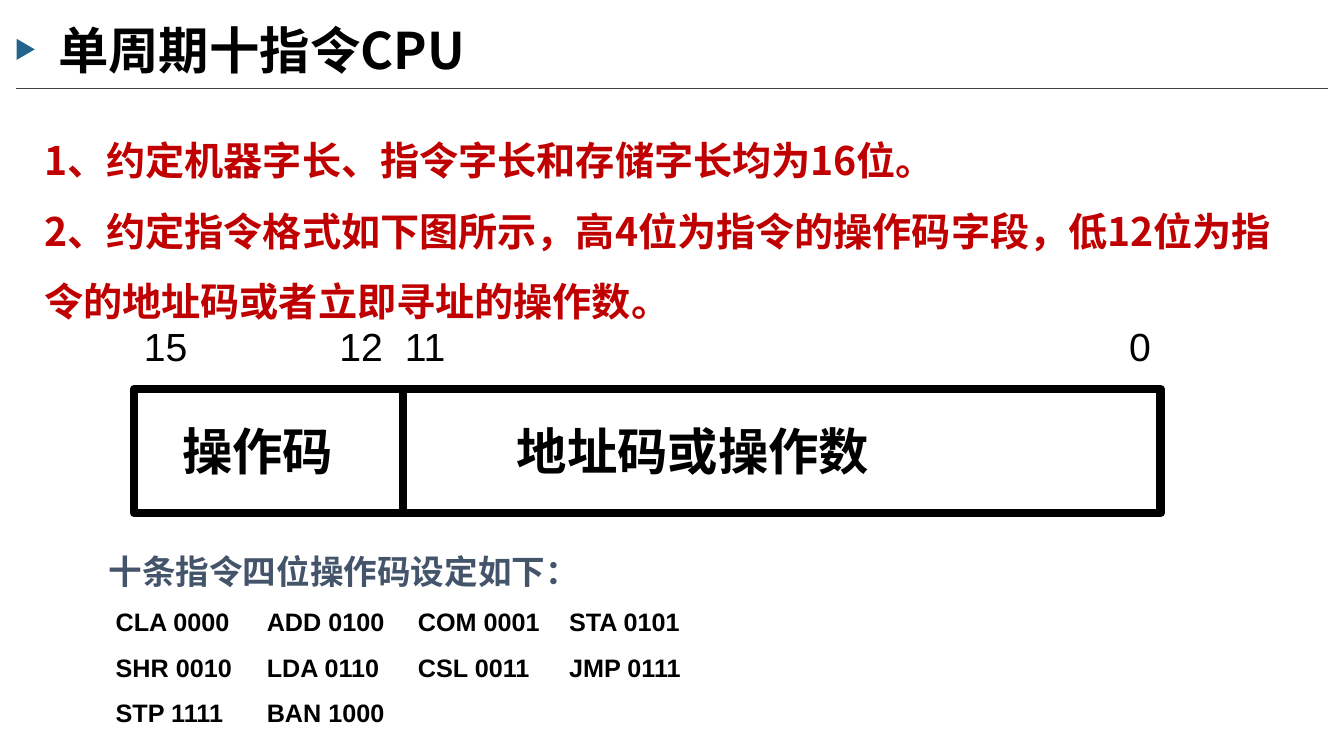
import pptx
import pptx.dml.color
import pptx.enum.shapes
import pptx.enum.text
import pptx.oxml.ns
import pptx.util
from lxml import etree
from pptx.util import Inches

COLORS = {
    "black": "000000",
    "white": "FFFFFF",
    "rule": "404040",
    "marker": "22648E",
    "rules_text": "C00000",
    "heading": "44546A",
}
CJK_FONT = "Noto Sans CJK SC"
LATIN_FONT = "Arial"


def add_child(parent, tag, **attributes):
    return etree.SubElement(parent, pptx.oxml.ns.qn(tag), attributes)


def rgb(name):
    return pptx.dml.color.RGBColor.from_string(COLORS[name])


def write_text(para, text, size, color="black", font=LATIN_FONT, bold=False,
               spacing=None, indent=0, tabs=()):
    if spacing:
        para.line_spacing = spacing
    properties = para._p.get_or_add_pPr()
    if indent:
        properties.set("marL", str(Inches(indent)))
        properties.set("indent", "0")
    if tabs:
        stops = add_child(properties, "a:tabLst")
        for stop in tabs:
            add_child(stops, "a:tab", pos=str(Inches(stop)), algn="l")
    span = para.add_run()
    span.text = text
    span.font.size = pptx.util.Pt(size)
    span.font.bold = bold
    span.font.name = font
    span.font.color.rgb = rgb(color)
    add_child(span._r.get_or_add_rPr(), "a:ea", typeface=CJK_FONT)


class SlideBuilder:
    def __init__(self, width, height):
        self.deck = pptx.Presentation()
        self.deck.slide_width = Inches(width)
        self.deck.slide_height = Inches(height)
        self.page = self.deck.slides.add_slide(self.deck.slide_layouts[6])

    def text(self, left, top, width, height, lines, **style):
        box = self.page.shapes.add_textbox(
            Inches(left), Inches(top), Inches(width), Inches(height))
        frame = box.text_frame
        frame.word_wrap = True
        for index, (line, changes) in enumerate(lines):
            para = frame.add_paragraph() if index else frame.paragraphs[0]
            write_text(para, line, **{**style, **changes})

    def shape(self, kind, left, top, width, height, fill, line=None, weight=1,
              rotation=0):
        shape = self.page.shapes.add_shape(
            kind, Inches(left), Inches(top), Inches(width), Inches(height))
        shape.shadow.inherit = False
        shape.rotation = rotation
        shape.fill.solid()
        shape.fill.fore_color.rgb = rgb(fill)
        if line:
            shape.line.color.rgb = rgb(line)
            shape.line.width = pptx.util.Pt(weight)
        else:
            shape.line.fill.background()

    def line(self, x1, y1, x2, y2, color, weight):
        connector = self.page.shapes.add_connector(
            pptx.enum.shapes.MSO_CONNECTOR.STRAIGHT,
            Inches(x1), Inches(y1), Inches(x2), Inches(y2))
        connector.line.color.rgb = rgb(color)
        connector.line.width = pptx.util.Pt(weight)
        add_child(connector._element.spPr, "a:effectLst")

    def save(self):
        self.deck.save("out.pptx")


def main():
    slide = SlideBuilder(13.34, 7.5)
    shapes = pptx.enum.shapes.MSO_SHAPE

    slide.line(0.16, 0.88, 13.18, 0.88, "rule", 1)
    slide.shape(shapes.ISOSCELES_TRIANGLE, 0.15, 0.4, 0.21, 0.18, "marker",
                rotation=90)
    slide.text(0.48, 0.14, 9, 0.7, [("单周期十指令CPU", {})],
               size=36, font=CJK_FONT, bold=True)

    conventions = [
        "1、约定机器字长、指令字长和存储字长均为16位。",
        "2、约定指令格式如下图所示，高4位为指令的操作码字段，低12位为指令的地址码或者立即寻址的操作数。",
    ]
    slide.text(0.34, 1.07, 12.42, 2.3, [(line, {}) for line in conventions],
               size=28, color="rules_text", font=CJK_FONT, bold=True, spacing=1.5)

    word_left, word_top, word_width, word_height = 1.33, 3.86, 10.19, 1.23
    divider = 4
    slide.shape(shapes.RECTANGLE, word_left, word_top, word_width, word_height,
                "white", line="black", weight=6)
    slide.text(1.71, 4.12, 9.8, 0.7, [("操作码\t地址码或操作数", {})],
               size=36, bold=True, tabs=[3.32])
    slide.line(divider, word_top, divider, word_top + word_height, "black", 6)
    slide.text(word_left, 3.15, 11.42, 0.57, [("15\t12\t11\t0", {})],
               size=28, tabs=[1.94, 2.59, 9.78])

    opcodes = [
        ["CLA 0000", "ADD 0100", "COM 0001", "STA 0101"],
        ["SHR 0010", "LDA 0110", "CSL 0011", "JMP 0111"],
        ["STP 1111", "BAN 1000"],
    ]
    row_style = {"size": 18, "color": "black", "indent": 0.07,
                 "tabs": [3.16, 5.74, 7.8]}
    lines = [("十条指令四位操作码设定如下：", {})]
    lines += [("\t".join(row), row_style) for row in opcodes]
    slide.text(0.98, 5.22, 11.38, 2.05, lines,
               size=24, color="heading", bold=True, spacing=1.5)

    slide.save()


if __name__ == "__main__":
    main()
